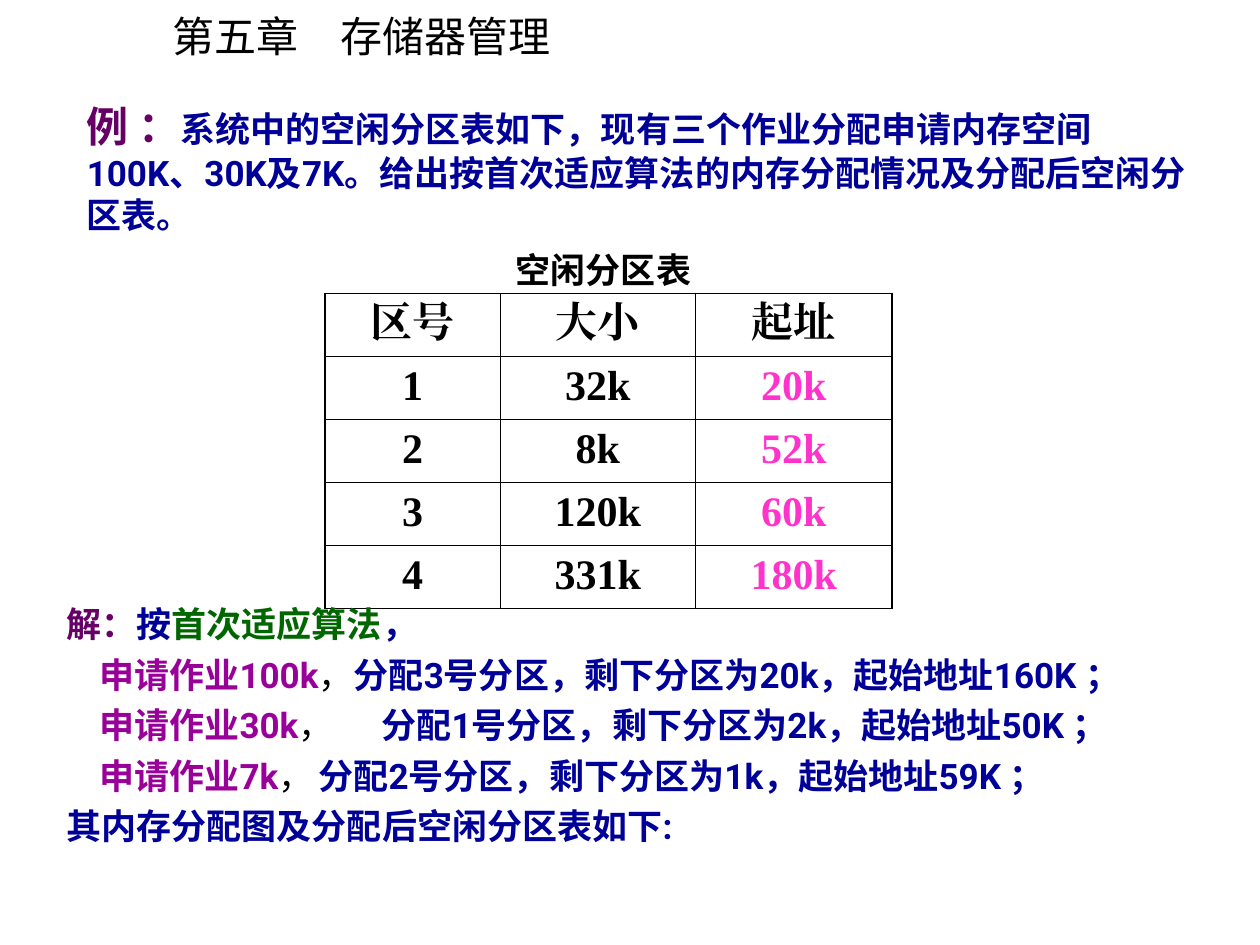
from lxml.etree import SubElement
from pptx import Presentation
from pptx.dml.color import RGBColor
from pptx.enum.text import MSO_ANCHOR, MSO_AUTO_SIZE, PP_ALIGN
from pptx.oxml.ns import qn
from pptx.util import Inches, Pt

BLACK, NAVY, PLUM = "000000", "000099", "660066"
GREEN, PURPLE, PINK = "006600", "990099", "FF33CC"
SANS, BODY, SERIF = "Noto Sans CJK SC", "Roboto", "Times New Roman"


def rgb(value):
    return RGBColor.from_string(value)


class Deck:
    """Holds the text style and the current slide, and adds elements to it."""

    def __init__(self, prs, size=20, font=BODY):
        self.size, self.font = size, font
        self.slide = prs.slides.add_slide(prs.slide_layouts[5])

    def run(self, p, text, color, bold=True, size=None, font=None):
        r = p.add_run()
        r.text = text
        r.font.size = Pt(size or self.size)
        r.font.bold = bold
        r.font.color.rgb = rgb(color)
        r.font.name = font or self.font
        SubElement(r._r.get_or_add_rPr(), qn("a:ea"), typeface=r.font.name)

    def frame(self, sp, wrap=True):
        tf = sp.text_frame
        tf.word_wrap = wrap
        tf.auto_size = MSO_AUTO_SIZE.NONE
        tf.vertical_anchor = MSO_ANCHOR.TOP
        return tf

    def title(self, box, text):
        sp = self.slide.shapes.title
        sp.left, sp.top, sp.width, sp.height = map(Inches, box)
        p = self.frame(sp, wrap=False).paragraphs[0]
        p.alignment = PP_ALIGN.LEFT
        self.run(p, text, BLACK, False, 24, SANS)

    def text(self, box, paragraphs, align=PP_ALIGN.LEFT, spacing=1.0):
        tf = self.frame(self.slide.shapes.add_textbox(*map(Inches, box)))
        for i, (indent, tab, runs) in enumerate(paragraphs):
            p = tf.paragraphs[0] if i == 0 else tf.add_paragraph()
            p.alignment = align
            p.line_spacing = spacing
            pPr = p._p.get_or_add_pPr()
            pPr.set("marL", "0")
            pPr.set("indent", str(Inches(indent)))
            if tab:
                tabs = SubElement(pPr, qn("a:tabLst"))
                SubElement(tabs, qn("a:tab"), pos=str(Inches(tab)), algn="l")
            for args in runs:
                self.run(p, *args)

    def border(self, cell, side, width):
        ln = SubElement(cell._tc.get_or_add_tcPr(), qn("a:" + side), w=str(Pt(width)))
        fill = SubElement(ln, qn("a:solidFill"))
        SubElement(fill, qn("a:srgbClr"), val=BLACK)

    def table(self, left, top, widths, height, rows):
        n, m = len(rows), len(widths)
        table = self.slide.shapes.add_table(
            n, m, Inches(left), Inches(top), Inches(sum(widths)), Inches(height * n)
        ).table
        table.horz_banding = table.first_row = False
        for column, width in zip(table.columns, widths):
            column.width = Inches(width)
        for i, row in enumerate(rows):
            table.rows[i].height = Inches(height)
            for j, text in enumerate(row):
                cell = table.cell(i, j)
                edges = {"lnL": j == 0, "lnR": j == m - 1, "lnT": i == 0, "lnB": i == n - 1}
                for side, outer in edges.items():
                    self.border(cell, side, 1.08 if outer else 0.45)
                cell.fill.background()
                p = cell.text_frame.paragraphs[0]
                p.alignment = PP_ALIGN.CENTER
                color = PINK if i and j == m - 1 else BLACK
                self.run(p, text, color, True, 24, SERIF)


def main():
    prs = Presentation()
    prs.slide_width, prs.slide_height = Inches(10), Inches(7.5)
    deck = Deck(prs)
    deck.title((1.27, 0.03, 3.27, 0.5), "第五章　存储器管理")
    deck.table(2.58, 2.33, (1.39, 1.55, 1.56), 0.5, [
        ("区号", "大小", "起址"),
        ("1", "32k", "20k"),
        ("2", "8k", "52k"),
        ("3", "120k", "60k"),
        ("4", "331k", "180k"),
    ])
    deck.text((3.25, 1.92, 3.08, 0.44), [(0, None, [("空闲分区表", BLACK)])], PP_ALIGN.CENTER)

    requests = [
        ("100k", "，", None, "分配3号分区，剩下分区为20k，起始地址160K ；"),
        ("30k", "，\t", 2.37, "分配1号分区，剩下分区为2k，起始地址50K ；"),
        ("7k", "，\t", 2.37, "分配2号分区，剩下分区为1k，起始地址59K ；"),
    ]
    solution = [(0, None, [("解：", PLUM), ("按", NAVY), ("首次适应算法", GREEN), ("，", NAVY)])]
    for amount, gap, tab, result in requests:
        solution.append((0.26, tab, [
            ("申请作业" + amount, PURPLE), (gap, BLACK, False), (result, NAVY),
        ]))
    solution.append((0, None, [("其内存分配图及分配后空闲分区表如下:", NAVY)]))
    deck.text((0.43, 4.67, 9.06, 2.1), solution, spacing=1.2)

    deck.text((0.59, 0.75, 8.99, 1.17), [(0, None, [
        ("例 ：", PLUM, True, 24, SANS),
        ("系统中的空闲分区表如下，现有三个作业分配申请内存空间100K、30K及7K。"
         "给出按首次适应算法的内存分配情况及分配后空闲分区表。", NAVY),
    ])])
    prs.save("out.pptx")


if __name__ == "__main__":
    main()
